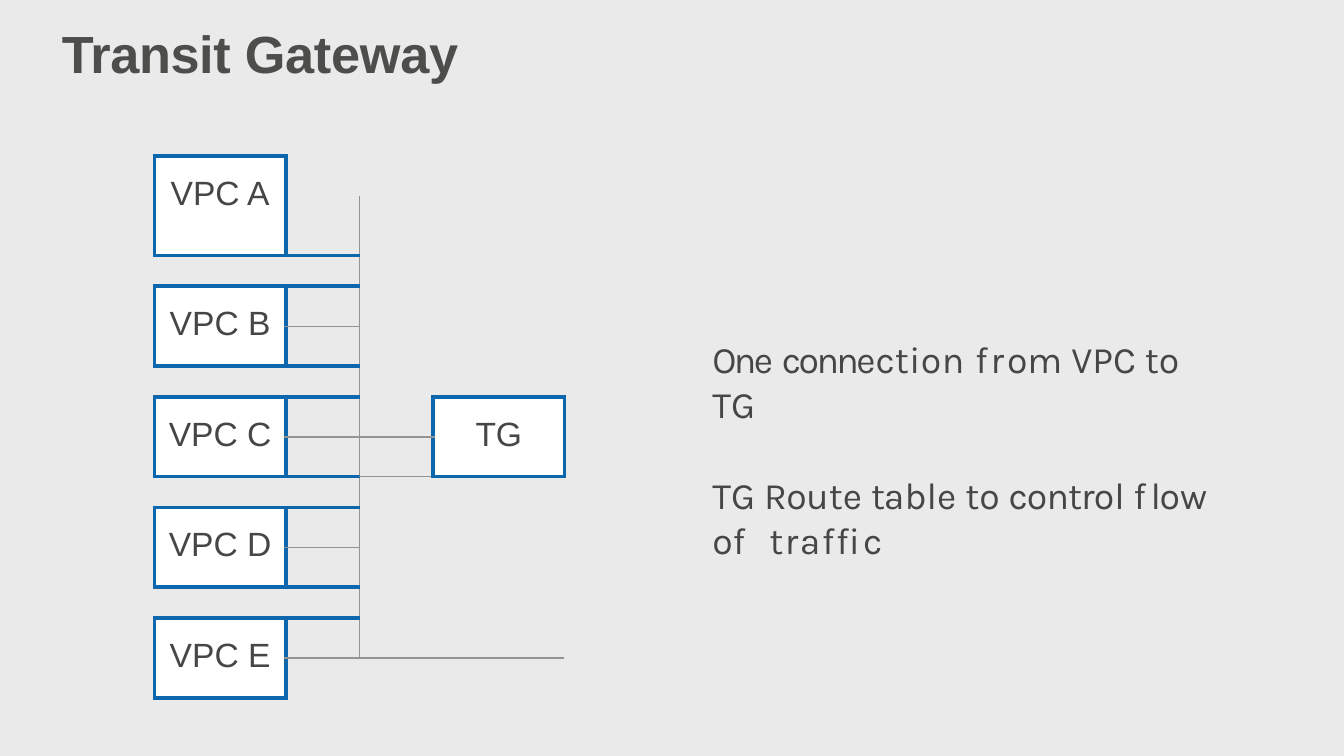
import pptx
import pptx.dml.color
import pptx.enum.text
import pptx.oxml
import pptx.oxml.ns
import pptx.util
from pptx.util import Inches

BACKGROUND = pptx.dml.color.RGBColor(0xEA, 0xEA, 0xEA)
WHITE = pptx.dml.color.RGBColor(0xFF, 0xFF, 0xFF)
BLUE = pptx.dml.color.RGBColor(0x0C, 0x67, 0xAD)
GREY = pptx.dml.color.RGBColor(0x94, 0x95, 0x93)
TITLE_COLOR = pptx.dml.color.RGBColor(0x4D, 0x4D, 0x4B)
TEXT_COLOR = pptx.dml.color.RGBColor(0x46, 0x46, 0x46)

BLUE_LINE = (BLUE, 2.25)
THIN_LINE = (GREY, 0.75)
LINK_LINE = (GREY, 1)
ALL_BLUE = dict.fromkeys("LRTB", BLUE_LINE)
NO_STYLE = "{2D5ABB26-0587-4C30-8999-92F81FD0307C}"

VPC_NAMES = ["VPC A", "VPC B", "VPC C", "VPC D", "VPC E"]
TITLE_RUNS = [("Transit ", -0.2), ("Gateway", -0.1)]
SPACE = (" ", 0)
NOTES = [
    [("One", -1.4), SPACE, ("conne", -1.4), ("c", -1.1), ("tio", 0.2), ("n ", 0.5),
     ("f", 1.4), ("r", 1.6), ("o", -1), ("m", -1.4), SPACE, ("V", -1.5), ("P", -1.4),
     ("C", -1), SPACE, ("t", -0.6), ("o", -1.1), SPACE, ("T", -0.4), ("G", -1.1)],
    [("T", -0.4), ("G", -1.1), SPACE, ("Rou", -0.3), ("t", -0.2), ("e", -0.3), SPACE,
     ("ta", -0.6), ("b", -0.7), ("l", -0.8), ("e", -0.5), SPACE, ("t", -0.6), ("o", -1.1),
     SPACE, ("contro", -0.5), ("l ", -0.2), ("f", 2.4), ("lo", -0.8), ("w", -1.3), SPACE,
     ("o", -0.3), ("f ", 4), ("traffic", 0.8)],
]


def format_font(font, name, size, color, bold=False):
    font.name = name
    font.size = pptx.util.Pt(size)
    font.color.rgb = color
    font.bold = bold


def add_spaced_runs(paragraph, pieces, **font_format):
    for text, spacing in pieces:
        run = paragraph.add_run()
        run.text = text
        format_font(run.font, **font_format)
        run.font._element.set("spc", str(round(spacing * 100)))


def place_placeholder(shape, left, top, width, height):
    shape.left, shape.top = Inches(left), Inches(top)
    shape.width, shape.height = Inches(width), Inches(height)
    frame = shape.text_frame
    frame.margin_right = frame.margin_bottom = 0
    frame.margin_left = frame.margin_top = Inches(0.01)
    frame.word_wrap = True
    frame.auto_size = pptx.enum.text.MSO_AUTO_SIZE.NONE
    frame.vertical_anchor = pptx.enum.text.MSO_ANCHOR.TOP
    return frame


def add_title(shape, left, top, width, height):
    paragraph = place_placeholder(shape, left, top, width, height).paragraphs[0]
    paragraph.alignment = pptx.enum.text.PP_ALIGN.LEFT
    add_spaced_runs(paragraph, TITLE_RUNS, name="Arial", size=28, color=TITLE_COLOR, bold=True)


def add_notes(shape, left, top, width, height):
    frame = place_placeholder(shape, left, top, width, height)
    for index, pieces in enumerate(NOTES):
        paragraph = frame.add_paragraph() if index else frame.paragraphs[0]
        properties = paragraph._p.get_or_add_pPr()
        properties.set("marL", "0")
        properties.set("indent", "0")
        properties.append(pptx.oxml.parse_xml(f"<a:buNone {pptx.oxml.ns.nsdecls('a')}/>"))
        paragraph.space_before = pptx.util.Pt(25 if index else 0)
        add_spaced_runs(paragraph, pieces, name="Karla", size=20, color=TEXT_COLOR)


def add_border(cell, side, line):
    color, width = line
    cell._tc.get_or_add_tcPr().append(pptx.oxml.parse_xml(
        f"<a:ln{side} {pptx.oxml.ns.nsdecls('a')} w='{pptx.util.Pt(width)}'>"
        f"<a:solidFill><a:srgbClr val='{color}'/></a:solidFill></a:ln{side}>"))


def format_area(table, row, column, borders, rows=1, columns=1, fill=BACKGROUND, text=""):
    last_row, last_column = row + rows - 1, column + columns - 1
    for r in range(row, last_row + 1):
        for c in range(column, last_column + 1):
            cell = table.cell(r, c)
            is_origin = (r, c) == (row, column)
            edges = {"L": c == column, "R": c == last_column, "T": r == row, "B": r == last_row}
            for side, on_edge in edges.items():
                if side in borders and (on_edge or is_origin):
                    add_border(cell, side, borders[side])
            cell.fill.solid()
            cell.fill.fore_color.rgb = fill
    origin = table.cell(row, column)
    if rows * columns > 1:
        origin.merge(table.cell(last_row, last_column))
    if text:
        origin.margin_top = Inches(0.14)
        paragraph = origin.text_frame.paragraphs[0]
        paragraph.text = text
        paragraph.alignment = pptx.enum.text.PP_ALIGN.CENTER
        format_font(paragraph.runs[0].font, "Arial", 18, TEXT_COLOR)


def add_network(slide, left, top, width, height):
    row_heights = ([21.4, 21.4, 16.5] * len(VPC_NAMES))[:-1]
    row_heights[1] = 32
    frame = slide.shapes.add_table(len(row_heights), 4, Inches(left), Inches(top),
                                   Inches(width), Inches(height))
    table = frame.table
    table.first_row = table.horz_banding = False
    table._tbl.tblPr.find(pptx.oxml.ns.qn("a:tableStyleId")).text = NO_STYLE
    for row, row_height in zip(table.rows, row_heights):
        row.height = pptx.util.Pt(row_height)
    for column, share in zip(table.columns, [0.32, 0.18, 0.18, 0.32]):
        column.width = Inches(width * share)
    for cell in table.iter_cells():
        cell.margin_left = cell.margin_right = cell.margin_top = cell.margin_bottom = 0
        cell.text_frame.paragraphs[0]._p.get_or_add_endParaRPr().set("sz", "600")

    last = len(VPC_NAMES) - 1
    for index, name in enumerate(VPC_NAMES):
        row = 3 * index
        format_area(table, row, 0, ALL_BLUE, rows=2, fill=WHITE, text=name)
        link = LINK_LINE if name == "VPC C" else THIN_LINE
        upper = {"L": BLUE_LINE, "R": THIN_LINE, "B": link}
        lower = {"L": BLUE_LINE, "R": THIN_LINE, "T": link}
        if index == 0:
            format_area(table, row, 1, {"L": BLUE_LINE}, columns=3)
            del lower["T"]
        else:
            format_area(table, row, 1, upper)
        if index == last:
            format_area(table, row + 1, 1, {"L": BLUE_LINE, "T": THIN_LINE}, columns=3)
        else:
            format_area(table, row + 1, 1, lower)
            format_area(table, row + 2, 0,
                        {"R": THIN_LINE, "T": BLUE_LINE, "B": BLUE_LINE}, columns=2)

    format_area(table, 1, 2, {"L": THIN_LINE}, rows=5, columns=2)
    format_area(table, 6, 2, {"L": THIN_LINE, "R": BLUE_LINE, "B": LINK_LINE})
    format_area(table, 7, 2, {"L": THIN_LINE, "R": BLUE_LINE, "T": LINK_LINE, "B": THIN_LINE})
    format_area(table, 6, 3, ALL_BLUE, rows=2, fill=WHITE, text="TG")
    format_area(table, 8, 2, {"L": THIN_LINE, "B": THIN_LINE}, rows=5, columns=2)


def main():
    presentation = pptx.Presentation()
    presentation.slide_width = Inches(10)
    presentation.slide_height = presentation.slide_width * 9 // 16
    slide = presentation.slides.add_slide(presentation.slide_layouts[1])
    slide.background.fill.solid()
    slide.background.fill.fore_color.rgb = BACKGROUND
    add_title(slide.shapes.title, 0.45, 0.15, 3.01, 0.49)
    add_notes(slide.placeholders[1], 5.29, 2.49, 3.76, 1.36)
    add_network(slide, 1.15, 1.16, 3.05, 4.05)
    presentation.save("out.pptx")


if __name__ == "__main__":
    main()
